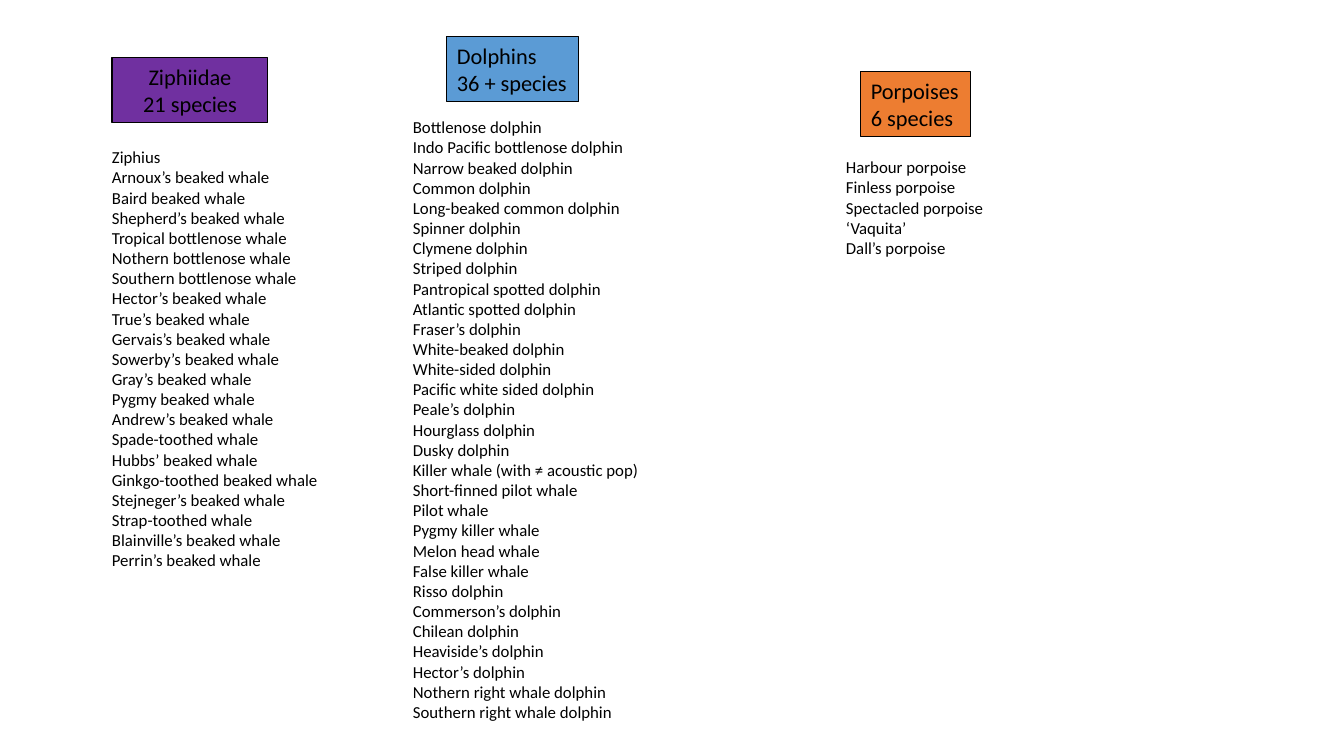
from pptx import Presentation
from pptx.dml.color import RGBColor
from pptx.enum.shapes import MSO_SHAPE as Shape
from pptx.enum.text import MSO_ANCHOR as Anchor, MSO_AUTO_SIZE as AutoSize, PP_ALIGN as Align
from pptx.util import Pt

SLIDE_W, SLIDE_H = 1344, 756
PX = 12192000 / SLIDE_W
FONT = "Calibri"
BLACK = RGBColor(0x00, 0x00, 0x00)
PURPLE = RGBColor(0x70, 0x30, 0xA0)
BLUE = RGBColor(0x5B, 0x9B, 0xD5)
ORANGE = RGBColor(0xED, 0x7D, 0x31)
HEADER_H = 65
LINE_H = 20
PADDING = 10

BEAKED_WHALES = [
    "Ziphius", "Arnoux’s beaked whale", "Baird beaked whale", "Shepherd’s beaked whale",
    "Tropical bottlenose whale", "Nothern bottlenose whale", "Southern bottlenose whale",
    "Hector’s beaked whale", "True’s beaked whale", "Gervais’s beaked whale",
    "Sowerby’s beaked whale", "Gray’s beaked whale", "Pygmy beaked whale",
    "Andrew’s beaked whale", "Spade-toothed whale", "Hubbs’ beaked whale",
    "Ginkgo-toothed beaked whale", "Stejneger’s beaked whale", "Strap-toothed whale",
    "Blainville’s beaked whale", "Perrin’s beaked whale",
]
DOLPHINS = [
    "Bottlenose dolphin", "Indo Pacific bottlenose dolphin", "Narrow beaked dolphin",
    "Common dolphin", "Long-beaked common dolphin", "Spinner dolphin", "Clymene dolphin",
    "Striped dolphin", "Pantropical spotted dolphin", "Atlantic spotted dolphin",
    "Fraser’s dolphin", "White-beaked dolphin", "White-sided dolphin",
    "Pacific white sided dolphin", "Peale’s dolphin", "Hourglass dolphin", "Dusky dolphin",
    "Killer whale (with ≠ acoustic pop)", "Short-finned pilot whale", "Pilot whale",
    "Pygmy killer whale", "Melon head whale", "False killer whale", "Risso dolphin",
    "Commerson’s dolphin", "Chilean dolphin", "Heaviside’s dolphin", "Hector’s dolphin",
    "Nothern right whale dolphin", "Southern right whale dolphin",
]
PORPOISES = [
    "Harbour porpoise", "Finless porpoise", "Spectacled porpoise", "‘Vaquita’",
    "Dall’s porpoise",
]


def emu(*lengths):
    return [round(length * PX) for length in lengths]


def write_lines(frame, lines, size, align, wrap=False):
    frame.word_wrap = wrap
    frame.auto_size = AutoSize.SHAPE_TO_FIT_TEXT
    frame.vertical_anchor = Anchor.TOP
    frame.text = "\n".join(lines)
    for line in frame.paragraphs:
        line.alignment = align
        line.font.name = FONT
        line.font.size = Pt(size)
        line.font.color.rgb = BLACK


def add_header(slide, box, lines, color, align):
    header = slide.shapes.add_shape(Shape.RECTANGLE, *emu(*box))
    header.shadow.inherit = False
    header.fill.solid()
    header.fill.fore_color.rgb = color
    header.line.color.rgb = BLACK
    header.line.width = Pt(0.75)
    write_lines(header.text_frame, lines, 16, align, wrap=align == Align.CENTER)


def add_family(slide, box, title, count, species, color, header_x, header_w,
               list_y, align=Align.LEFT):
    """Place a header and its species list; header_x and list_y are offsets in the box."""
    left, top, width = box
    add_header(slide, (left + header_x, top, header_w, HEADER_H),
               [title, count], color, align)
    height = len(species) * LINE_H + PADDING
    species_list = slide.shapes.add_textbox(*emu(left, top + list_y, width, height))
    write_lines(species_list.text_frame, species, 12, Align.LEFT)


def main():
    deck = Presentation()
    deck.slide_width, deck.slide_height = emu(SLIDE_W, SLIDE_H)
    slide = deck.slides.add_slide(deck.slide_layouts[6])
    add_family(slide, (102, 58, 228), "Ziphiidae", "21 species", BEAKED_WHALES, PURPLE,
               header_x=10, header_w=156, list_y=84, align=Align.CENTER)
    add_family(slide, (403, 37, 249), "Dolphins", "36 + species", DOLPHINS, BLUE,
               header_x=44, header_w=132, list_y=75)
    add_family(slide, (836, 72, 159), "Porpoises", "6 species", PORPOISES, ORANGE,
               header_x=25, header_w=110, list_y=80)
    deck.save("out.pptx")


if __name__ == "__main__":
    main()
